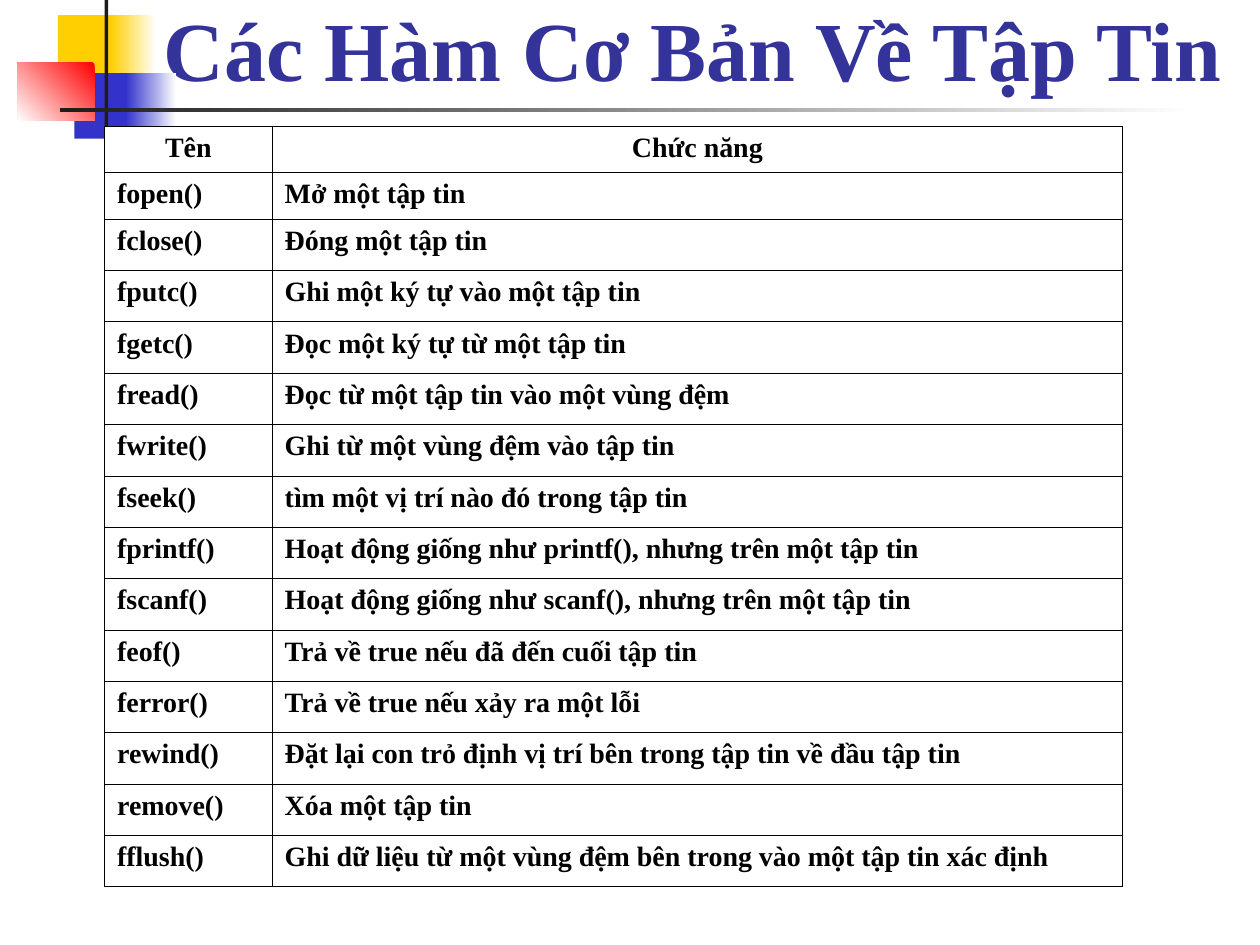
from lxml import etree
from pptx import Presentation
from pptx.dml.color import RGBColor
from pptx.enum.shapes import MSO_SHAPE
from pptx.enum.text import MSO_ANCHOR, MSO_AUTO_SIZE, PP_ALIGN
from pptx.oxml.ns import qn
from pptx.util import Inches, Pt

WHITE = RGBColor(0xFF, 0xFF, 0xFF)
BLACK = RGBColor(0x00, 0x00, 0x00)
YELLOW = RGBColor(0xFF, 0xCF, 0x01)
BLUE = RGBColor(0x33, 0x33, 0xCC)
RED = RGBColor(0xFF, 0x00, 0x00)
CHARCOAL = RGBColor(0x1C, 0x1C, 0x1C)
TITLE_BLUE = RGBColor(0x33, 0x33, 0x99)
FONT = "Times New Roman"

TITLE = "Các Hàm Cơ Bản Về Tập Tin"
HEADER = ("Tên", "Chức năng")
FUNCTIONS = [
    ("fopen()", "Mở một tập tin"),
    ("fclose()", "Đóng một tập tin"),
    ("fputc()", "Ghi một ký tự vào một tập tin"),
    ("fgetc()", "Đọc một ký tự từ một tập tin"),
    ("fread()", "Đọc từ một tập tin vào một vùng đệm"),
    ("fwrite()", "Ghi từ một vùng đệm vào tập tin"),
    ("fseek()", "tìm một vị trí nào đó trong tập tin"),
    ("fprintf()", "Hoạt động giống như printf(), nhưng trên một tập tin"),
    ("fscanf()", "Hoạt động giống như scanf(), nhưng trên một tập tin"),
    ("feof()", "Trả về true nếu đã đến cuối tập tin"),
    ("ferror()", "Trả về true nếu xảy ra một lỗi"),
    ("rewind()", "Đặt lại con trỏ định vị trí bên trong tập tin về đầu tập tin"),
    ("remove()", "Xóa một tập tin"),
    ("fflush()", "Ghi dữ liệu từ một vùng đệm bên trong vào một tập tin xác định"),
]

# Box (left, top, width, height), colours (one is solid, two a gradient),
# counter-clockwise gradient angle
DECORATIONS = [
    ((0.46, 0.12, 0.48, 0.52), (YELLOW,), 0),
    ((0.88, 0.12, 0.36, 0.52), (WHITE, YELLOW), 180),
    ((0.59, 0.58, 0.46, 0.52), (BLUE,), 0),
    ((1.0, 0.58, 0.4, 0.52), (WHITE, BLUE), 180),
    ((0.14, 0.5, 0.61, 0.46), (RED, WHITE), 225),
    ((0.83, 0, 0.03, 1.15), (CHARCOAL,), 0),
    ((0.48, 0.86, 9, 0.03), (WHITE, CHARCOAL), 180),
]
TITLE_BOX = (1.2, 0, 8.8, 0.83)
TABLE_BOX = (0.83, 1, 8.08, 6.04)
NAME_WIDTH = 1.33
SHORT_ROWS, SHORT_HEIGHT = 2, 0.37
BORDER_WIDTH = Pt(0.45)


def to_emu(box):
    return [Inches(length) for length in box]


def format_runs(paragraph, size, color):
    for run in paragraph.runs:
        run.font.name = FONT
        run.font.size = Pt(size)
        run.font.bold = True
        run.font.color.rgb = color


def add_decoration(slide, box, colors, angle):
    shape = slide.shapes.add_shape(MSO_SHAPE.RECTANGLE, *to_emu(box))
    shape.shadow.inherit = False
    shape.line.fill.background()
    if len(colors) == 1:
        shape.fill.solid()
        shape.fill.fore_color.rgb = colors[0]
        return
    shape.fill.gradient()
    shape.fill.gradient_angle = angle
    for stop, color in zip(shape.fill.gradient_stops, colors):
        stop.color.rgb = color


def place_title(slide):
    title = slide.shapes.title
    title.left, title.top, title.width, title.height = to_emu(TITLE_BOX)
    frame = title.text_frame
    frame.text = TITLE
    frame.word_wrap = True
    frame.auto_size = MSO_AUTO_SIZE.NONE
    frame.vertical_anchor = MSO_ANCHOR.BOTTOM
    frame.paragraphs[0].alignment = PP_ALIGN.LEFT
    format_runs(frame.paragraphs[0], 48, TITLE_BLUE)


def add_borders(cell):
    properties = cell._tc.get_or_add_tcPr()
    for position, side in enumerate(("lnL", "lnR", "lnT", "lnB")):
        line = etree.Element(qn(f"a:{side}"), w=str(BORDER_WIDTH))
        fill = etree.SubElement(line, qn("a:solidFill"))
        etree.SubElement(fill, qn("a:srgbClr"), val=str(BLACK))
        properties.insert(position, line)


def fill_cell(cell, text, alignment):
    cell.fill.solid()
    cell.fill.fore_color.rgb = WHITE
    add_borders(cell)
    cell.text_frame.text = text
    paragraph = cell.text_frame.paragraphs[0]
    paragraph.alignment = alignment
    format_runs(paragraph, 16, BLACK)


def add_function_table(slide):
    rows = [HEADER, *FUNCTIONS]
    width, height = TABLE_BOX[2:]
    tall_height = (height - SHORT_ROWS * SHORT_HEIGHT) / (len(rows) - SHORT_ROWS)
    table = slide.shapes.add_table(len(rows), len(HEADER), *to_emu(TABLE_BOX)).table
    table.horz_banding = False
    table.columns[0].width = Inches(NAME_WIDTH)
    table.columns[1].width = Inches(width - NAME_WIDTH)
    for row_index, texts in enumerate(rows):
        is_short = row_index < SHORT_ROWS
        table.rows[row_index].height = Inches(SHORT_HEIGHT if is_short else tall_height)
        alignment = PP_ALIGN.JUSTIFY if row_index else PP_ALIGN.CENTER
        for column_index, text in enumerate(texts):
            fill_cell(table.cell(row_index, column_index), text, alignment)


def main():
    presentation = Presentation()
    presentation.slide_width = Inches(10)
    presentation.slide_height = Inches(7.5)
    slide = presentation.slides.add_slide(presentation.slide_layouts[5])
    for box, colors, angle in DECORATIONS:
        add_decoration(slide, box, colors, angle)
    place_title(slide)
    add_function_table(slide)
    presentation.save("out.pptx")


if __name__ == "__main__":
    main()
